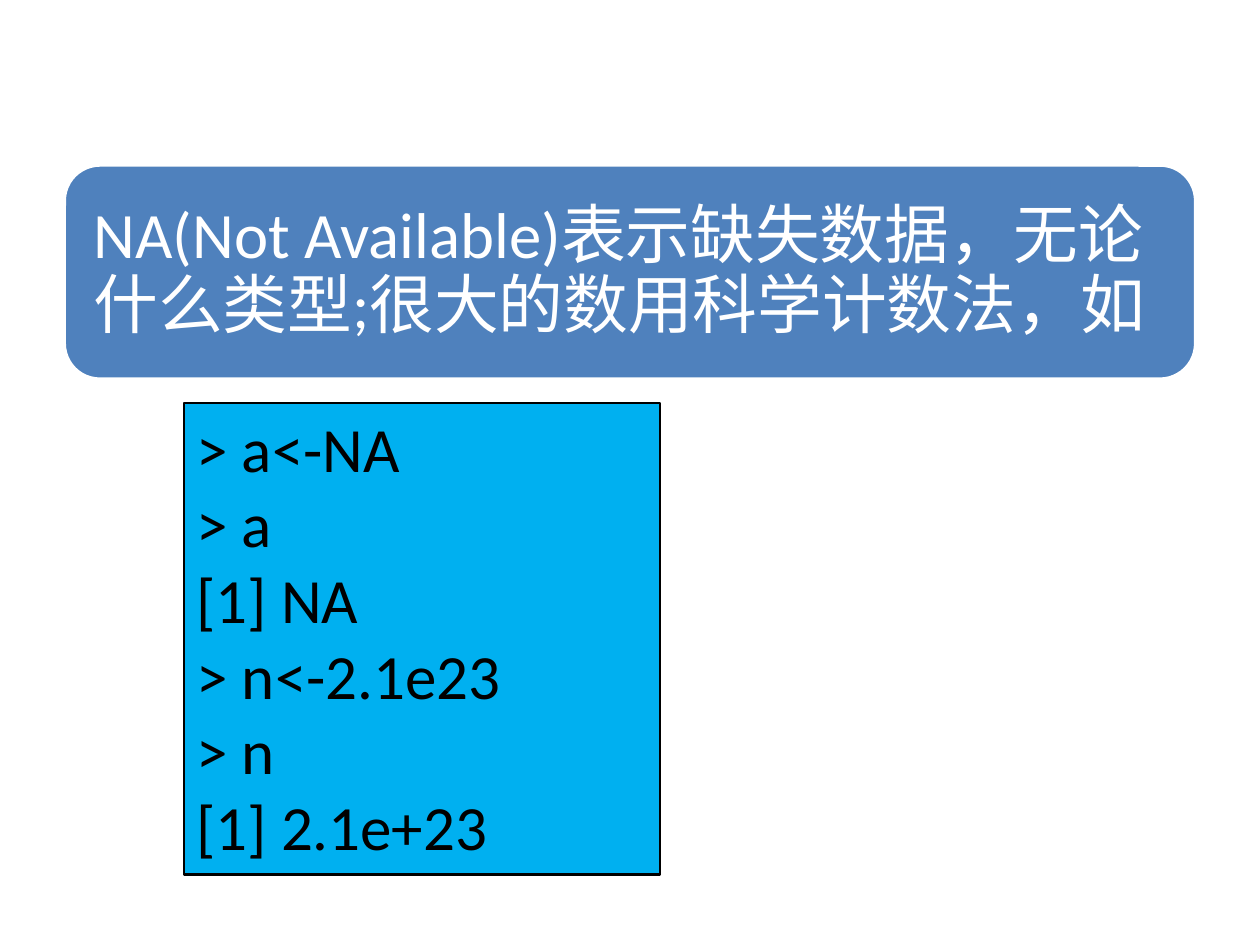
from dataclasses import dataclass

from pptx import Presentation
from pptx.dml.color import RGBColor
from pptx.enum.shapes import MSO_SHAPE
from pptx.enum.text import MSO_ANCHOR, PP_ALIGN
from pptx.util import Inches, Pt

ROUND = MSO_SHAPE.ROUNDED_RECTANGLE
RECT = MSO_SHAPE.RECTANGLE
TOP, MIDDLE = MSO_ANCHOR.TOP, MSO_ANCHOR.MIDDLE
LEFT = PP_ALIGN.LEFT


@dataclass(frozen=True)
class Theme:
    font: str = "Calibri"
    white: RGBColor = RGBColor(0xFF, 0xFF, 0xFF)
    black: RGBColor = RGBColor(0, 0, 0)
    blue: RGBColor = RGBColor(0x4F, 0x81, 0xBD)
    sky: RGBColor = RGBColor(0x00, 0xB0, 0xF0)
    note_size: Pt = Pt(37)
    code_size: Pt = Pt(36)


THEME = Theme()
NOTE = "NA(Not Available)表示缺失数据，无论什么类型;很大的数用科学计数法，如"
CODE = ["> a<-NA", "> a", "[1] NA", "> n<-2.1e23", "> n", "[1] 2.1e+23"]


def add_box(slide, kind, place, fill, edge, width):
    box = slide.shapes.add_shape(kind, *map(Inches, place))
    box.shadow.inherit = False
    box.fill.solid()
    box.fill.fore_color.rgb = fill
    box.line.color.rgb = edge
    box.line.width = Pt(width)
    return box


def set_text(box, lines, size, color, anchor):
    frame = box.text_frame
    frame.word_wrap = True
    frame.vertical_anchor = anchor
    frame.text = "\n".join(lines)
    for para in frame.paragraphs:
        para.alignment = LEFT
        para.font.name = THEME.font
        para.font.size = size
        para.font.color.rgb = color
    return frame


def add_note(slide):
    box = add_box(slide, ROUND, (0.51, 1.31, 8.98, 1.7), THEME.blue, THEME.white, 2)
    frame = set_text(box, [NOTE], THEME.note_size, THEME.white, MIDDLE)
    frame.margin_left = frame.margin_right = Inches(0.15)
    frame.margin_top = frame.margin_bottom = Inches(0.15)
    frame.paragraphs[0].line_spacing = 0.9


def add_code(slide):
    box = add_box(slide, RECT, (1.46, 3.2, 3.78, 3.74), THEME.sky, THEME.black, 1.5)
    set_text(box, CODE, THEME.code_size, THEME.black, TOP)


def main():
    deck = Presentation()
    deck.slide_width, deck.slide_height = Inches(10), Inches(7.5)
    slide = deck.slides.add_slide(deck.slide_layouts[6])
    add_note(slide)
    add_code(slide)
    deck.save("out.pptx")


if __name__ == "__main__":
    main()
